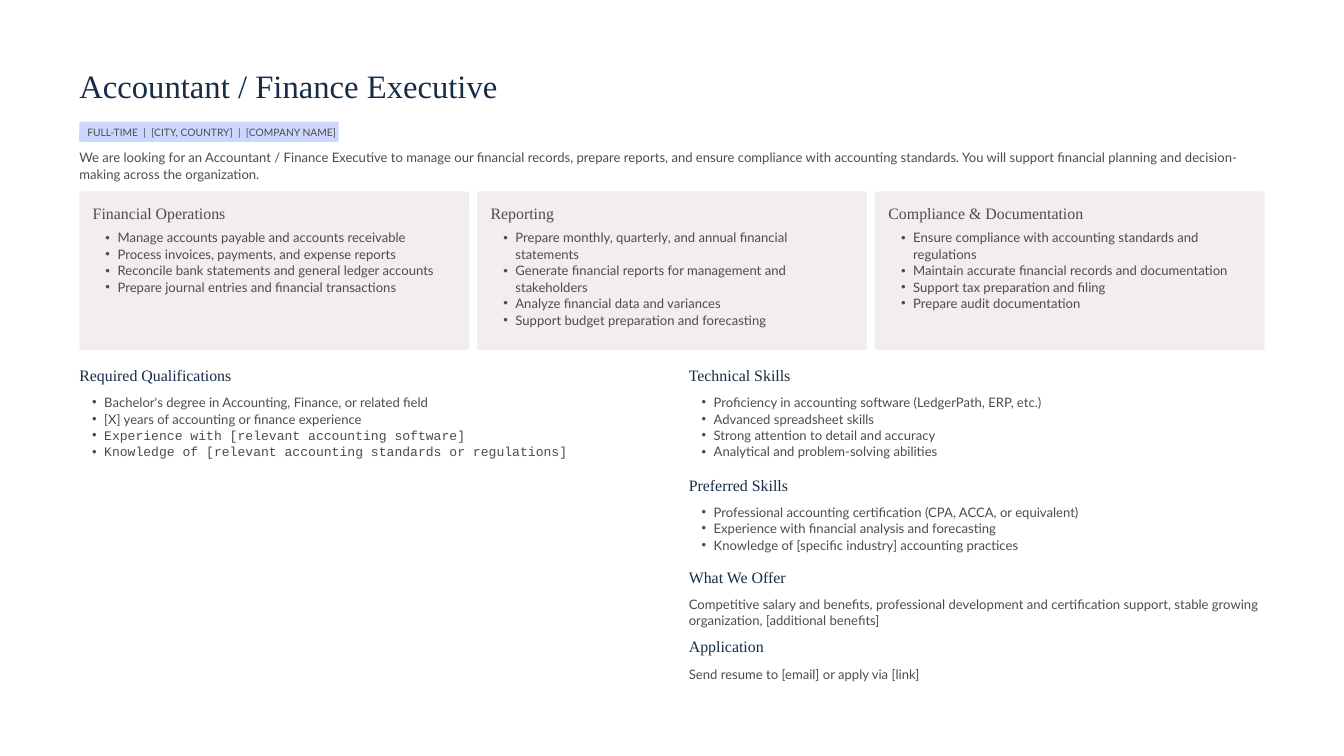
from lxml.etree import SubElement
from pptx import Presentation
from pptx.dml.color import RGBColor
from pptx.enum.shapes import MSO_SHAPE as SHAPE
from pptx.enum.text import MSO_ANCHOR as ANCHOR, MSO_AUTO_SIZE as AUTO_SIZE, PP_ALIGN as ALIGN
from pptx.oxml.ns import qn
from pptx.util import Inches, Pt

COLORS = {"navy": "152D47", "gray": "4C4C4D", "badge": "CCD7FF", "card": "F2EEEE", "page": "FFFFFF"}
STYLES = {
    "title": {"size": 35, "name": "Times New Roman", "color": "navy", "line": 43.7},
    "heading": {"size": 17, "name": "Times New Roman", "color": "navy", "line": 21.2},
    "card heading": {"size": 17, "name": "Times New Roman", "color": "gray", "line": 21.2},
    "badge": {"size": 11, "name": "Lato", "color": "gray", "line": 12.7},
    "body": {"size": 14, "name": "Lato", "color": "gray", "line": 17.6},
}
LEFT, WIDTH = 1.18, 17.64
RIGHT, COLUMN = 10.25, 8.58

deck = Presentation()
deck.slide_width, deck.slide_height = Inches(20), Inches(11.25)
page = deck.slides.add_slide(deck.slide_layouts[3])
page.background.fill.solid()
page.background.fill.fore_color.rgb = RGBColor.from_string(COLORS["page"])
title, left_list, right_list = page.placeholders


def write(lines, style, left, top, width, height, box=None, bullets=False):
    look = STYLES[style]
    place = [Inches(value) for value in (left, top, width, height)]
    box = box or page.shapes.add_textbox(*place)
    box.left, box.top, box.width, box.height = place
    frame = box.text_frame
    settings = {"word_wrap": True, "auto_size": AUTO_SIZE.NONE, "vertical_anchor": ANCHOR.TOP,
                "margin_left": 0, "margin_top": 0, "margin_right": 0, "margin_bottom": 0}
    for name, value in settings.items():
        setattr(frame, name, value)
    for index, line in enumerate(lines):
        para = frame.add_paragraph() if index else frame.paragraphs[0]
        para.alignment = ALIGN.LEFT
        para.line_spacing = Pt(look["line"])
        para.space_before = Pt(0)
        if bullets:
            properties = para._p.get_or_add_pPr()
            properties.set("marL", str(Inches(0.37)))
            properties.set("indent", str(Inches(-0.18)))
            SubElement(properties, qn("a:buFont"), typeface="Arial")
            SubElement(properties, qn("a:buChar"), char="•")
        span = para.add_run()
        span.text = line
        for name, value in {"size": Pt(look["size"]), "name": look["name"]}.items():
            setattr(span.font, name, value)
        span.font.color.rgb = RGBColor.from_string(COLORS[look["color"]])
    return box


def panel(left, top, width, height, color, radius):
    shape = page.shapes.add_shape(SHAPE.ROUNDED_RECTANGLE, *[Inches(value) for value in (left, top, width, height)])
    shape.adjustments[0] = radius / height
    shape.shadow.inherit = False
    shape.fill.solid()
    shape.fill.fore_color.rgb = RGBColor.from_string(COLORS[color])
    shape.line.fill.background()


write(["Accountant / Finance Executive"], "title", LEFT, 0.95, WIDTH, 0.63, title)
panel(LEFT, 1.81, 3.86, 0.3, "badge", 0.02)
write(["FULL-TIME  |  [CITY, COUNTRY]  |  [COMPANY NAME]"], "badge", 1.3, 1.88, 4.63, 0.17)
write(["We are looking for an Accountant / Finance Executive to manage our financial records, prepare reports, "
       "and ensure compliance with accounting standards. You will support financial planning and "
       "decision-making across the organization."], "body", LEFT, 2.22, WIDTH, 0.5)

duties = {
    "Financial Operations": [
        "Manage accounts payable and accounts receivable",
        "Process invoices, payments, and expense reports",
        "Reconcile bank statements and general ledger accounts",
        "Prepare journal entries and financial transactions"],
    "Reporting": [
        "Prepare monthly, quarterly, and annual financial statements",
        "Generate financial reports for management and stakeholders",
        "Analyze financial data and variances",
        "Support budget preparation and forecasting"],
    "Compliance & Documentation": [
        "Ensure compliance with accounting standards and regulations",
        "Maintain accurate financial records and documentation",
        "Support tax preparation and filing",
        "Prepare audit documentation"],
}
card_width, padding = 5.8, 0.2
pitch = (WIDTH - card_width) / 2
for column, (heading, items) in enumerate(duties.items()):
    card_left = LEFT + column * pitch
    panel(card_left, 2.85, card_width, 2.36, "card", 0.03)
    text_left, text_width = card_left + padding, card_width - 2 * padding
    write([heading], "card heading", text_left, 3.02, text_width, 0.33)
    write(items, "body", text_left, 3.41, text_width, 1.61, bullets=True)

sections = [
    ("Required Qualifications", LEFT, 5.43, 1.18, left_list, True, [
        "Bachelor's degree in Accounting, Finance, or related field",
        "[X] years of accounting or finance experience",
        "Experience with [relevant accounting software]",
        "Knowledge of [relevant accounting standards or regulations]"]),
    ("Technical Skills", RIGHT, 5.43, 1.11, right_list, True, [
        "Proficiency in accounting software (LedgerPath, ERP, etc.)",
        "Advanced spreadsheet skills",
        "Strong attention to detail and accuracy",
        "Analytical and problem-solving abilities"]),
    ("Preferred Skills", RIGHT, 7.06, 0.85, None, True, [
        "Professional accounting certification (CPA, ACCA, or equivalent)",
        "Experience with financial analysis and forecasting",
        "Knowledge of [specific industry] accounting practices"]),
    ("What We Offer", RIGHT, 8.43, 0.52, None, False, [
        "Competitive salary and benefits, professional development and certification support, "
        "stable growing organization, [additional benefits]"]),
    ("Application", RIGHT, 9.47, 0.28, None, False, ["Send resume to [email] or apply via [link]"]),
]
for heading, left, top, height, holder, bullets, lines in sections:
    write([heading], "heading", left, top, COLUMN, 0.33)
    write(lines, "body", left, top + 0.43, COLUMN, height, holder, bullets)

for para in left_list.text_frame.paragraphs[2:]:
    para.runs[0].font.name = "Courier New"

deck.save("out.pptx")
